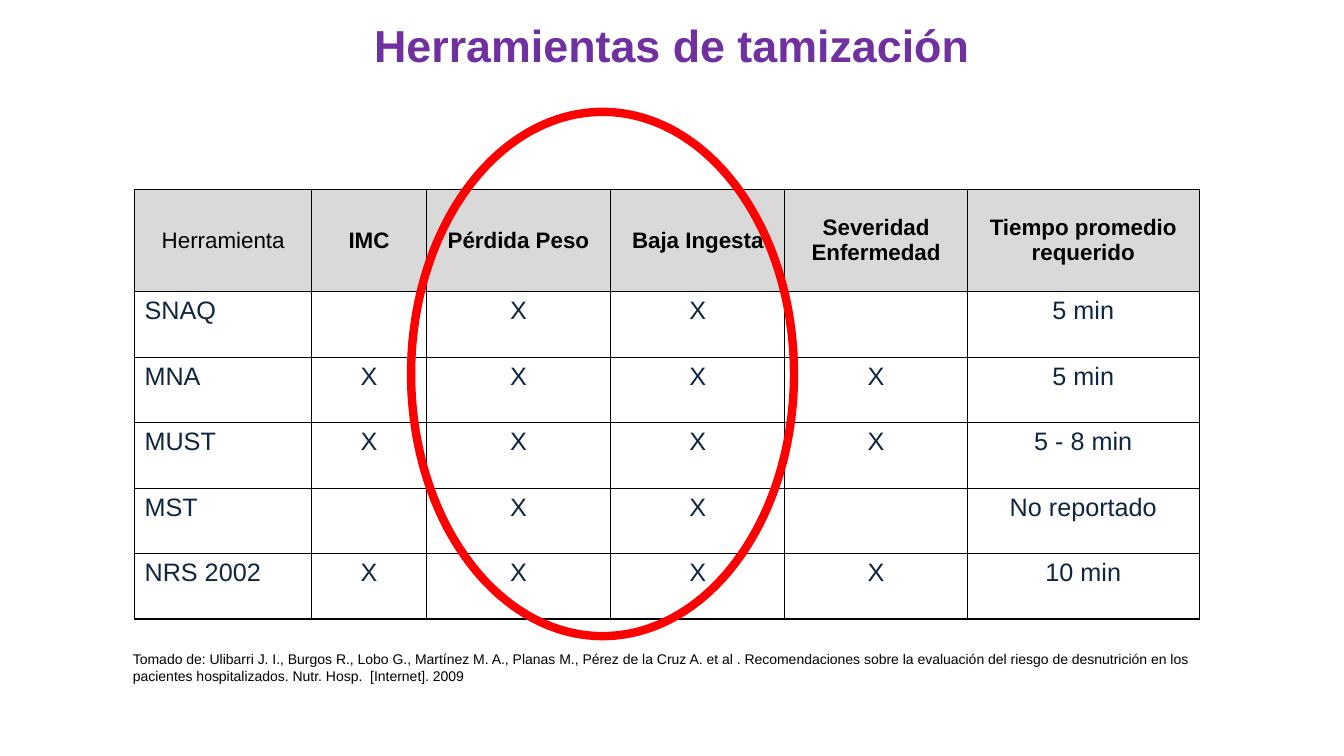
from lxml.etree import SubElement
from pptx import Presentation
from pptx.dml.color import RGBColor
from pptx.enum.shapes import MSO_SHAPE
from pptx.enum.text import MSO_ANCHOR, PP_ALIGN
from pptx.oxml.ns import qn
from pptx.util import Cm, Pt

COLORS = {
    "title": "7030A0",
    "header": "D9D9D9",
    "body": "FFFFFF",
    "navy": "10253F",
    "black": "000000",
    "red": "FF0000",
}
COLUMN_WIDTHS = [4.47, 2.88, 4.65, 4.39, 4.6, 5.84]
HEADER_HEIGHT = 2.57
ROW_HEIGHT = 1.65
ROWS = [
    ["Herramienta", "IMC", "Pérdida Peso", "Baja Ingesta",
     "Severidad Enfermedad", "Tiempo promedio requerido"],
    ["SNAQ", "", "X", "X", "", "5 min"],
    ["MNA", "X", "X", "X", "X", "5 min"],
    ["MUST", "X", "X", "X", "X", "5 - 8 min"],
    ["MST", "", "X", "X", "", "No reportado"],
    ["NRS 2002", "X", "X", "X", "X", "10 min"],
]
CITATION = (
    "Tomado de: Ulibarri J. I., Burgos R., Lobo G., Martínez M. A., Planas M., "
    "Pérez de la Cruz A. et al . Recomendaciones sobre la evaluación del riesgo "
    "de desnutrición en los pacientes hospitalizados. Nutr. Hosp.  [Internet]. 2009"
)


def style_text(para, size, color, bold=False, align=PP_ALIGN.LEFT):
    para.alignment = align
    para.font.name = "Arial"
    para.font.size = Pt(size)
    para.font.bold = bold
    para.font.color.rgb = RGBColor.from_string(COLORS[color])


def add_borders(cell, color):
    properties = cell._tc.get_or_add_tcPr()
    for position, side in enumerate(["a:lnL", "a:lnR", "a:lnT", "a:lnB"]):
        border = SubElement(properties, qn(side), w=str(Pt(1)))
        fill = SubElement(border, qn("a:solidFill"))
        SubElement(fill, qn("a:srgbClr"), val=COLORS[color])
        properties.insert(position, border)


deck = Presentation()
deck.slide_width = Cm(33.87)
deck.slide_height = Cm(19.05)
page = deck.slides.add_slide(deck.slide_layouts[5])

title = page.shapes.title
title.left, title.top, title.width, title.height = Cm(0), Cm(0.1), Cm(33.87), Cm(2.24)
title.text_frame.text = "Herramientas de tamización"
title.text_frame.vertical_anchor = MSO_ANCHOR.MIDDLE
title_para = title.text_frame.paragraphs[0]
title_para.line_spacing = 0.9
style_text(title_para, 32, "title", True, PP_ALIGN.CENTER)

table_height = HEADER_HEIGHT + ROW_HEIGHT * (len(ROWS) - 1)
table = page.shapes.add_table(
    len(ROWS), len(COLUMN_WIDTHS), Cm(3.39), Cm(4.78),
    Cm(sum(COLUMN_WIDTHS)), Cm(table_height),
).table
table.first_row = False
table.horz_banding = False
for column, width in zip(table.columns, COLUMN_WIDTHS):
    column.width = Cm(width)
for row_index, texts in enumerate(ROWS):
    is_header = row_index == 0
    table.rows[row_index].height = Cm(HEADER_HEIGHT if is_header else ROW_HEIGHT)
    for column_index, text in enumerate(texts):
        cell = table.cell(row_index, column_index)
        cell.text = text
        cell.fill.solid()
        cell.fill.fore_color.rgb = RGBColor.from_string(
            COLORS["header" if is_header else "body"])
        add_borders(cell, "black")
        para = cell.text_frame.paragraphs[0]
        if is_header:
            cell.vertical_anchor = MSO_ANCHOR.MIDDLE
            style_text(para, 16, "black", column_index > 0, PP_ALIGN.CENTER)
        else:
            align = PP_ALIGN.CENTER if column_index else PP_ALIGN.LEFT
            style_text(para, 18, "navy", align=align)

source_box = page.shapes.add_textbox(Cm(3.1), Cm(16.26), Cm(27.61), Cm(1.12))
source_box.text_frame.word_wrap = True
source_box.text_frame.text = CITATION
style_text(source_box.text_frame.paragraphs[0], 10, "black")

highlight = page.shapes.add_shape(
    MSO_SHAPE.OVAL, Cm(10.36), Cm(2.82), Cm(9.65), Cm(13.21))
highlight.shadow.inherit = False
highlight.fill.background()
highlight.line.color.rgb = RGBColor.from_string(COLORS["red"])
highlight.line.width = Pt(6)

deck.save("out.pptx")
